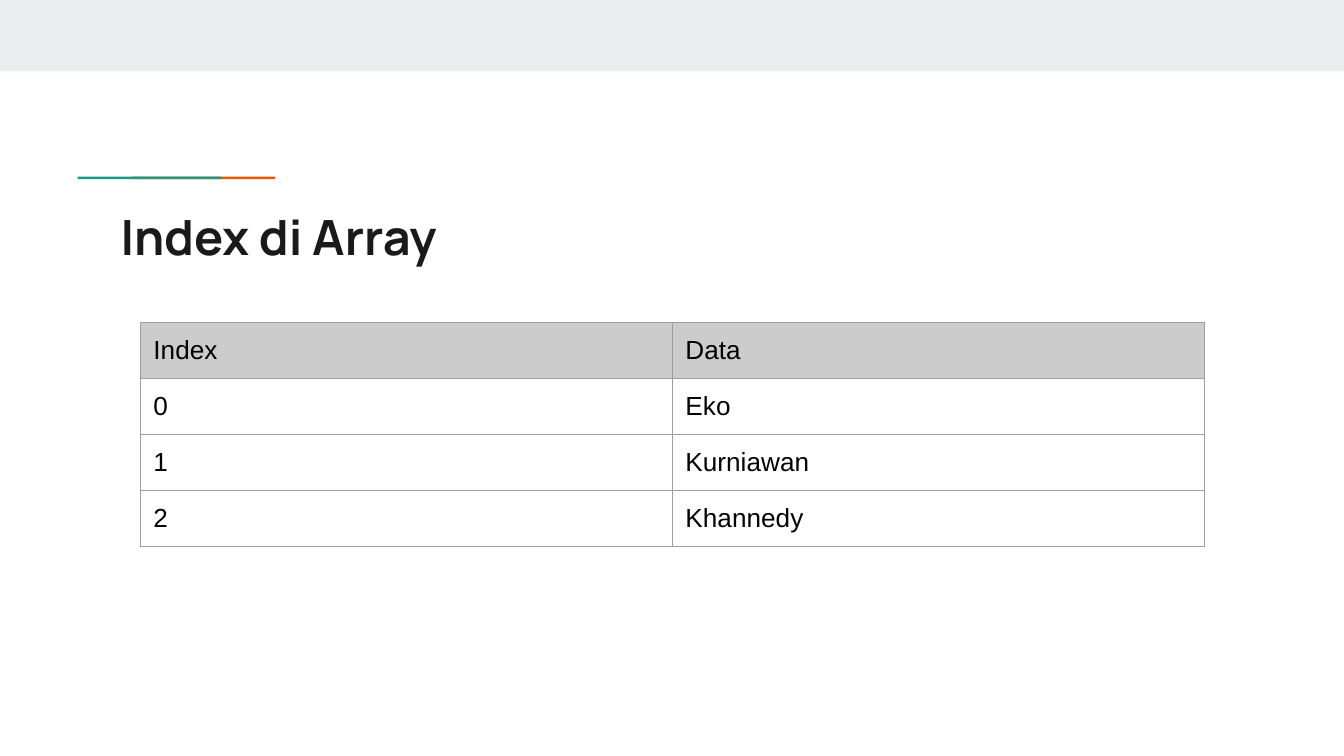
from dataclasses import dataclass

from lxml import etree
from pptx import Presentation
from pptx.dml.color import RGBColor
from pptx.enum import shapes, text
from pptx.oxml import ns
from pptx.util import Cm, Pt


@dataclass(frozen=True)
class Theme:
    band: str = "E9EDEE"
    orange: str = "EB5600"
    green: str = "1A9988"
    title: str = "1A1A1A"
    body: str = "000000"
    header: str = "CCCCCC"
    border: str = "9E9E9E"
    title_font: str = "Manrope"
    body_font: str = "Arial"
    title_size: int = 26
    body_size: int = 14
    border_width: float = 0.75


def add_bar(page, left, top, width, height, colour):
    bar = page.shapes.add_shape(
        shapes.MSO_SHAPE.RECTANGLE, Cm(left), Cm(top), Cm(width), Cm(height)
    )
    bar.shadow.inherit = False
    bar.fill.solid()
    bar.fill.fore_color.rgb = RGBColor.from_string(colour)
    bar.line.fill.background()


def add_borders(cell, colour, width):
    properties = cell._tc.get_or_add_tcPr()
    for position, side in enumerate(("lnL", "lnR", "lnT", "lnB")):
        line = etree.Element(ns.qn(f"a:{side}"), w=str(Pt(width)))
        fill = etree.SubElement(line, ns.qn("a:solidFill"))
        etree.SubElement(fill, ns.qn("a:srgbClr"), val=colour)
        properties.insert(position, line)


theme = Theme()
deck = Presentation()
deck.slide_width = Cm(25.4)
deck.slide_height = Cm(14.29)
page = deck.slides.add_slide(deck.slide_layouts[5])

add_bar(page, 0, 0, 25.4, 1.35, theme.band)
for left, colour in ((2.49, theme.orange), (1.47, theme.green)):
    add_bar(page, left, 3.34, 2.71, 0.05, colour)

title = page.shapes.title
title.left, title.top, title.width, title.height = Cm(2.03), Cm(3.66), Cm(21.36), Cm(1.5)
frame = title.text_frame
frame.margin_left = frame.margin_right = frame.margin_top = frame.margin_bottom = Cm(0.25)
frame.vertical_anchor = text.MSO_ANCHOR.TOP
frame.auto_size = text.MSO_AUTO_SIZE.NONE
frame.word_wrap = True
frame.text = "Index di Array"
para = frame.paragraphs[0]
para.alignment = text.PP_ALIGN.LEFT
para.font.name = theme.title_font
para.font.size = Pt(theme.title_size)
para.font.bold = True
para.font.color.rgb = RGBColor.from_string(theme.title)

entries = [("Index", "Data"), ("0", "Eko"), ("1", "Kurniawan"), ("2", "Khannedy")]
row_height = Cm(1.06)
table = page.shapes.add_table(
    len(entries), 2, Cm(2.65), Cm(6.09), Cm(20.11), row_height * len(entries)
).table
table.first_row = False
table.horz_banding = False
for row_index, entry in enumerate(entries):
    table.rows[row_index].height = row_height
    for column_index, words in enumerate(entry):
        cell = table.cell(row_index, column_index)
        cell.margin_left = cell.margin_right = cell.margin_top = cell.margin_bottom = Cm(0.25)
        cell.text = words
        if row_index == 0:
            cell.fill.solid()
            cell.fill.fore_color.rgb = RGBColor.from_string(theme.header)
        else:
            cell.fill.background()
        add_borders(cell, theme.border, theme.border_width)
        para = cell.text_frame.paragraphs[0]
        para.font.name = theme.body_font
        para.font.size = Pt(theme.body_size)
        para.font.color.rgb = RGBColor.from_string(theme.body)

deck.save("out.pptx")
